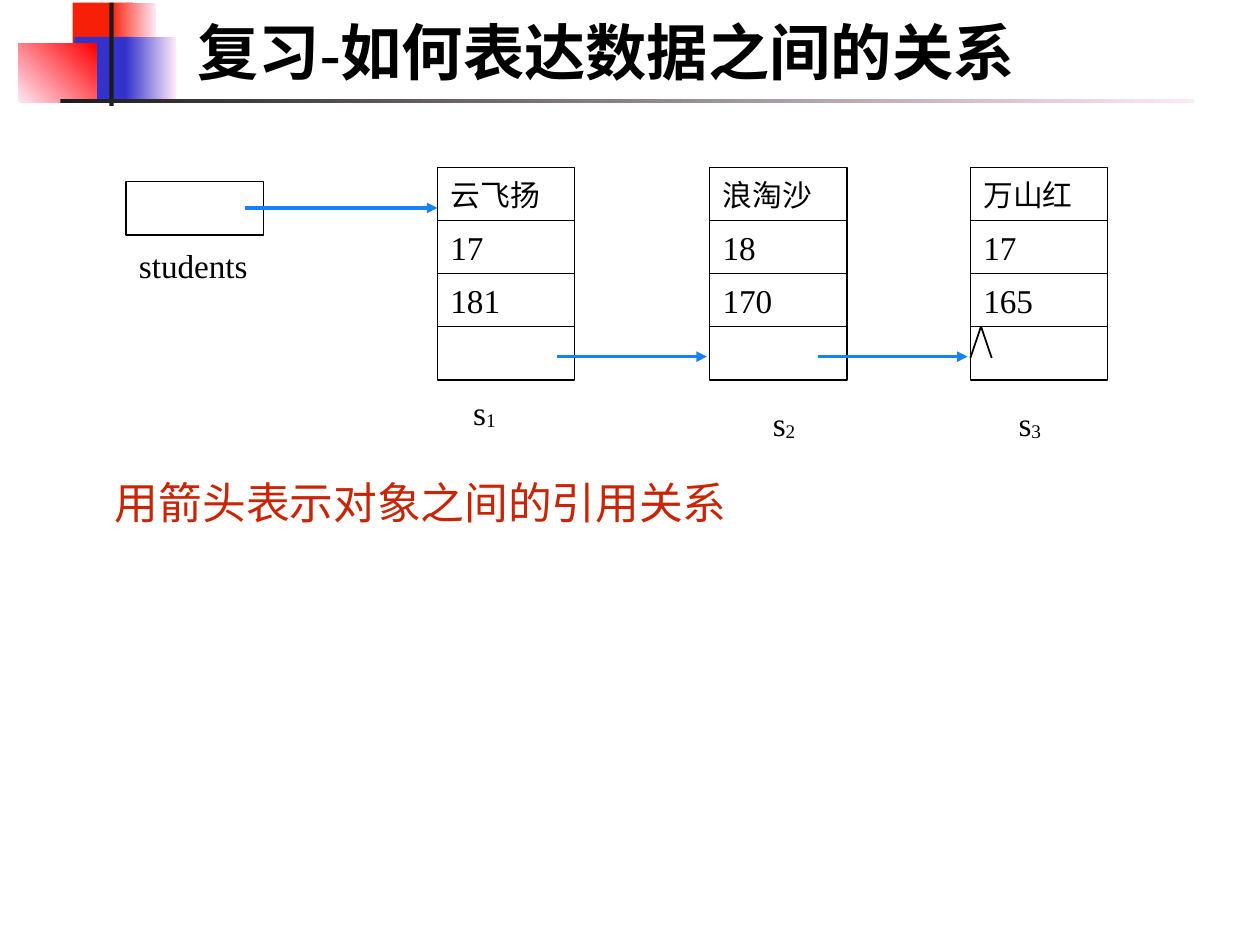
import pptx
import pptx.dml.color
import pptx.enum.shapes
import pptx.enum.text
import pptx.oxml
import pptx.oxml.ns
import pptx.util

Pt = pptx.util.Pt
FONT = "Times New Roman"
COLORS = {
    "ink": "000000", "paper": "FFFFFF", "bar": "1C1C1C", "red": "F81F08",
    "bright_red": "FF0000", "blue": "3333CC", "pale": "FEE8F7",
    "arrow": "1781FB", "remark": "C82506",
}
CELL_WIDTH, CELL_HEIGHT, ROW_PITCH = 78.5, 30.6, 30.25
LIST_TOP = 95.8
LINK_TOP = 203.8
STUDENTS = [
    (250, ["云飞扬", "17", "181", ""], (263, 220.3)),
    (405.5, ["浪淘沙", "18", "170", ""], (434.2, 226.8)),
    (554.5, ["万山红", "17", "165", ""], (574.6, 226.8)),
]


def color(name):
    """Return the named colour."""
    return pptx.dml.color.RGBColor.from_string(COLORS[name])


def format_text(shape, size, name="ink", bold=False, left_inset=4.5):
    """Set the insets of a shape and the font of all its runs."""
    frame = shape.text_frame
    frame.margin_left = Pt(left_inset)
    frame.margin_right = frame.margin_top = frame.margin_bottom = Pt(4.5)
    frame.vertical_anchor = pptx.enum.text.MSO_ANCHOR.MIDDLE
    for paragraph in frame.paragraphs:
        for run in paragraph.runs:
            run.font.name = FONT
            run.font.size = Pt(size)
            run.font.bold = bold
            run.font.color.rgb = color(name)


def add_rectangle(slide, left, top, width, height, fill, fade=None, angle=0):
    """Add a borderless rectangle with a solid fill or a fade between two colours."""
    shape = slide.shapes.add_shape(
        pptx.enum.shapes.MSO_SHAPE.RECTANGLE, Pt(left), Pt(top), Pt(width), Pt(height))
    shape.shadow.inherit = False
    shape.line.fill.background()
    if fade:
        shape.fill.gradient()
        shape.fill.gradient_angle = angle
        for stop, name in zip(shape.fill.gradient_stops, (fill, fade)):
            stop.color.rgb = color(name)
    else:
        shape.fill.solid()
        shape.fill.fore_color.rgb = color(fill)
    return shape


def add_cell(slide, left, top, text="", size=19, bordered=True):
    """Add one field of a record, or a label when it has no border."""
    shape = add_rectangle(slide, left, top, CELL_WIDTH, CELL_HEIGHT, "paper")
    if bordered:
        shape.line.color.rgb = color("ink")
        shape.line.width = Pt(0.75)
    if text:
        shape.text_frame.text = text
        shape.text_frame.paragraphs[0].alignment = pptx.enum.text.PP_ALIGN.LEFT
        format_text(shape, size, left_inset=7.4)
    return shape


def add_line(slide, start, end, name="ink", width=1, arrow=False):
    """Add a straight line, with an arrowhead at its end if asked."""
    line = slide.shapes.add_connector(
        pptx.enum.shapes.MSO_CONNECTOR.STRAIGHT, *(Pt(value) for value in (*start, *end)))
    line.line.color.rgb = color(name)
    line.line.width = Pt(width)
    if arrow:
        head = pptx.oxml.parse_xml(
            f'<a:tailEnd {pptx.oxml.ns.nsdecls("a")} type="triangle"/>')
        line.line._get_or_add_ln().append(head)
    line._element.spPr.append(
        pptx.oxml.parse_xml(f'<a:effectLst {pptx.oxml.ns.nsdecls("a")}/>'))


def add_ornament(slide, left, top):
    """Draw the coloured squares, the upright bar and the fading rule."""
    for x, y, width, height, *fill in [
        (31, 0, 34.5, 37.5, "red"),
        (52.5, 0, 26, 37.5, "red", "pale"),
        (32, 19.5, 33, 37.5, "blue"),
        (61, 19.5, 29, 37.5, "blue", "pale"),
        (0, 23.5, 44.5, 33.5, "pale", "bright_red", 45),
        (52, 0, 2.5, 59, "bar"),
        (24, 55, 648, 2.5, "bar", "pale"),
    ]:
        add_rectangle(slide, left + x, top + y, width, height, *fill)


def add_title(slide, left, top, width, height):
    """Place and format the title."""
    title = slide.shapes.title
    title.left, title.top, title.width, title.height = map(Pt, (left, top, width, height))
    title.text_frame.text = "复习-如何表达数据之间的关系"
    title.text_frame.paragraphs[0].alignment = pptx.enum.text.PP_ALIGN.CENTER
    format_text(title, 35, bold=True)


def add_record(slide, left, top, fields):
    """Stack the fields of one student."""
    for row, text in enumerate(fields):
        add_cell(slide, left, top + row * ROW_PITCH, text, 19 if row else 17)


def add_record_label(slide, left, top, number):
    """Add the label of a record with its number as a subscript."""
    label = add_cell(slide, left, top, "s", bordered=False)
    label.text_frame.paragraphs[0].add_run().text = str(number)
    format_text(label, 19, left_inset=7.4)
    subscript = label.text_frame.paragraphs[0].runs[1]
    subscript._r.get_or_add_rPr().set("baseline", "-6000")


def add_null_mark(slide, left, top):
    """Draw the mark of the empty reference that ends the list."""
    for foot in (0, 12.2):
        add_line(slide, (left + 6.1, top), (left + foot, top + 18))


def add_linked_list(slide):
    """Draw the list variable, the records and the references between them."""
    for left, fields, _ in STUDENTS:
        add_record(slide, left, LIST_TOP, fields)
    add_null_mark(slide, STUDENTS[-1][0], LIST_TOP + 3 * ROW_PITCH)
    add_cell(slide, 72, 103.7)
    add_cell(slide, 72, 136, "students", bordered=False)
    for number, (_, _, label) in enumerate(STUDENTS, 1):
        add_record_label(slide, *label, number)
    for left, _, _ in STUDENTS[1:]:
        add_line(slide, (left - 87.3, LINK_TOP), (left - 1.5, LINK_TOP), "arrow", 2, True)
    add_line(slide, (139.8, 118.8), (STUDENTS[0][0], 118.8), "arrow", 2, True)


def add_remark(slide, left, top, width, height):
    """Add the remark below the list."""
    box = slide.shapes.add_textbox(Pt(left), Pt(top), Pt(width), Pt(height))
    box.text_frame.text = "用箭头表示对象之间的引用关系"
    box.text_frame.word_wrap = False
    format_text(box, 25, "remark")


def main():
    """Build and save the slide."""
    presentation = pptx.Presentation()
    presentation.slide_width, presentation.slide_height = Pt(720), Pt(540)
    slide = presentation.slides.add_slide(presentation.slide_layouts[5])
    add_ornament(slide, 10.5, 1.5)
    add_title(slide, 69, 0.7, 555, 57)
    add_linked_list(slide)
    add_remark(slide, 61.2, 265.7, 359.3, 41.8)
    presentation.save("out.pptx")


if __name__ == "__main__":
    main()
